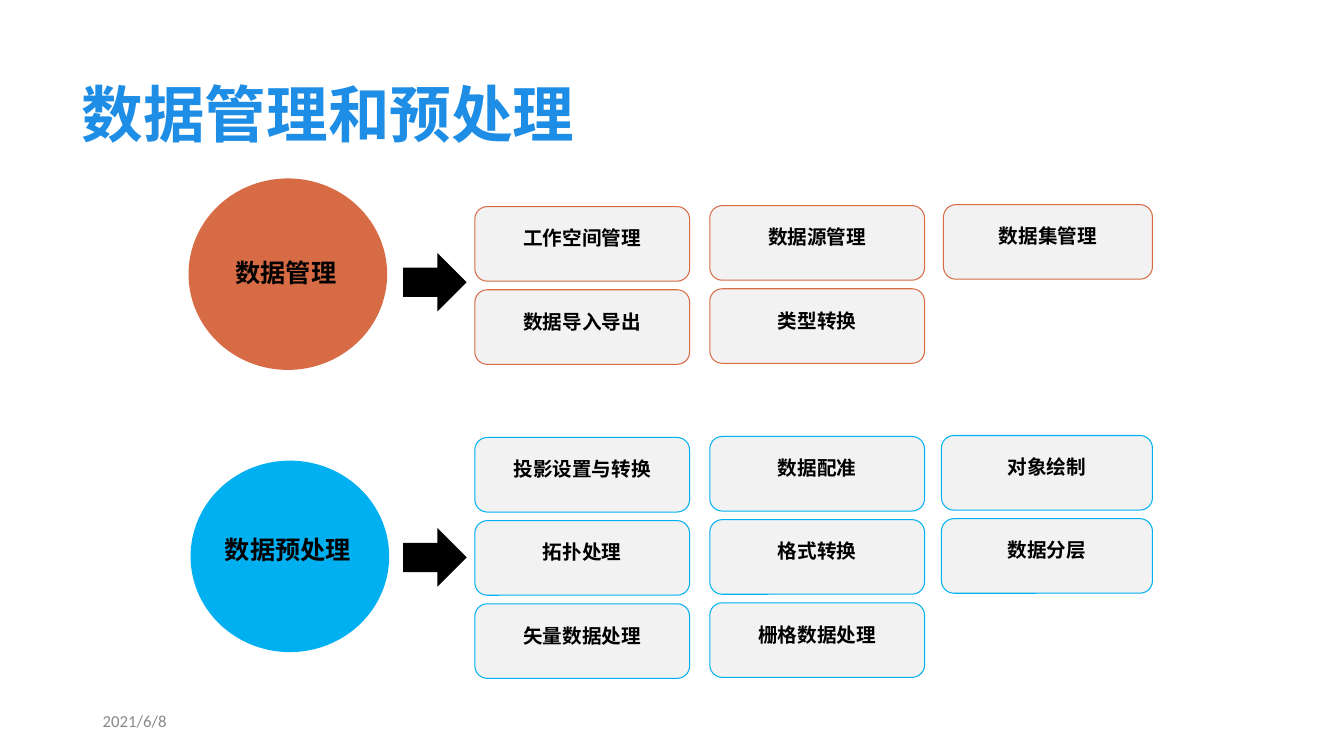
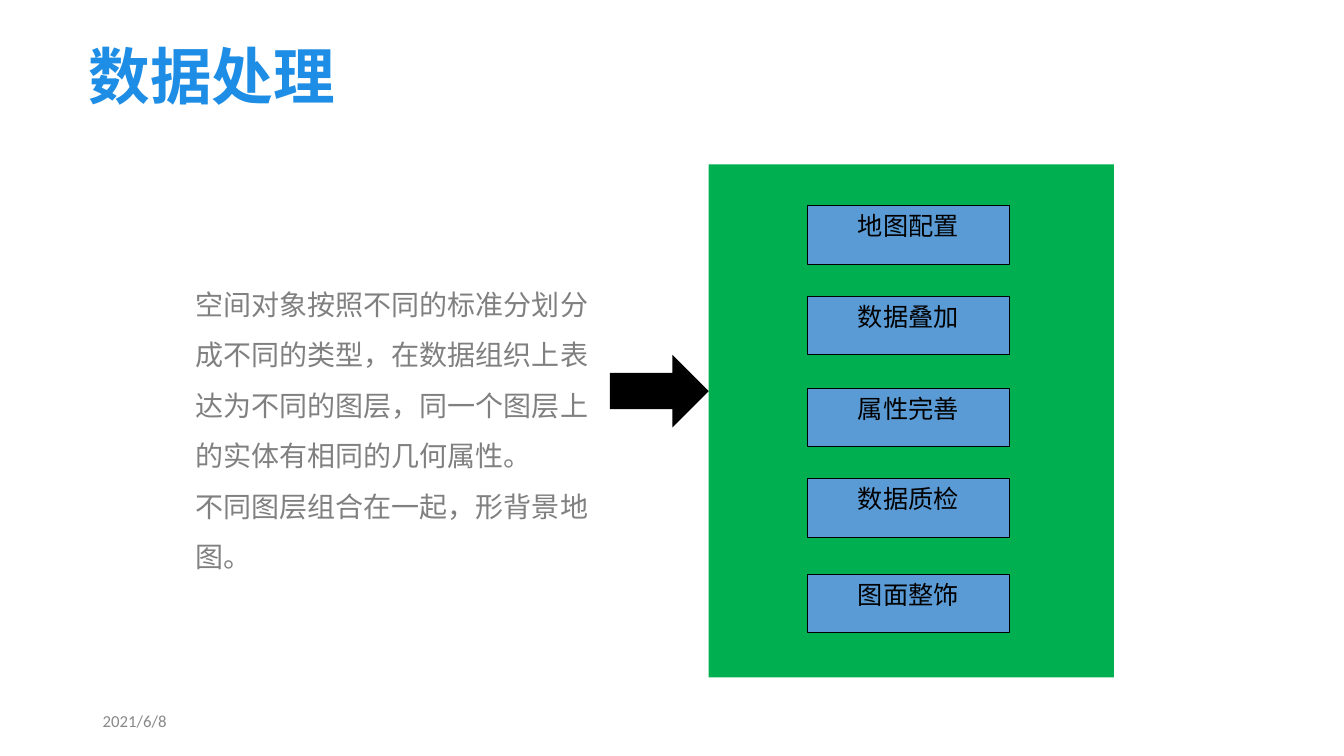
from lxml import etree
from pptx import Presentation
from pptx import util as u
from pptx.dml.color import RGBColor
from pptx.enum import shapes, text
from pptx.oxml.ns import qn

BLUE_TITLE = RGBColor(0x1D, 0x8D, 0xE5)
ORANGE = RGBColor(0xD7, 0x6B, 0x45)
SKY = RGBColor(0x00, 0xB0, 0xF0)
GREEN = RGBColor(0x00, 0xB0, 0x50)
STEEL = RGBColor(0x5B, 0x9B, 0xD5)
PALE = RGBColor(0xF2, 0xF2, 0xF2)
GREY = RGBColor(0x80, 0x80, 0x80)
DATE_GREY = RGBColor(0x89, 0x89, 0x89)
BLACK = RGBColor(0, 0, 0)
CJK = "Noto Sans CJK SC"
KIND = shapes.MSO_SHAPE
LEFT, CENTER = text.PP_ALIGN.LEFT, text.PP_ALIGN.CENTER
TOP, MIDDLE = text.MSO_ANCHOR.TOP, text.MSO_ANCHOR.MIDDLE

deck = Presentation()
deck.slide_width, deck.slide_height = u.Inches(13.33), u.Inches(7.5)


def write(box, lines, size, color, name="Arial", bold=False, align=CENTER,
          anchor=TOP, spacing=None):
    frame = box.text_frame
    frame.word_wrap = True
    frame.auto_size = text.MSO_AUTO_SIZE.NONE
    frame.vertical_anchor = anchor
    frame.text = "\n".join(lines)
    for para in frame.paragraphs:
        para.alignment = align
        para.line_spacing = spacing
        para.font.size, para.font.bold = u.Pt(size), bold
        para.font.color.rgb = color
        para.font.name = name
        props = para._p.pPr.find(qn("a:defRPr"))
        etree.SubElement(props, qn("a:ea")).set("typeface", CJK)


def place(page, kind, left, top, width, height, fill=None, line=None):
    """Add a shape, or a text box if kind is None; lengths in percent of the slide."""
    area = [round(share * side / 100) for share, side in zip(
        (left, top, width, height), (deck.slide_width, deck.slide_height) * 2)]
    if kind is None:
        return page.shapes.add_textbox(*area)
    box = page.shapes.add_shape(kind, *area)
    box.shadow.inherit = False
    box.fill.solid()
    box.fill.fore_color.rgb = fill
    if line is None:
        box.line.fill.background()
    else:
        box.line.color.rgb = line
        box.line.width = u.Pt(0.75)
    return box


# Titles and dates
pages = []
for heading, left, top in (("数据管理和预处理", 5.33, 9.33), ("数据处理", 5.85, 4.4)):
    page = deck.slides.add_slide(deck.slide_layouts[5])
    title = page.shapes.title
    title.left, title.top = int(deck.slide_width * left / 100), int(deck.slide_height * top / 100)
    title.width, title.height = int(deck.slide_width * 0.75), int(deck.slide_height * 0.11)
    write(title, [heading], 44, BLUE_TITLE, CJK, bold=True, align=LEFT)
    date = place(page, None, 6.9, 92.67, 22.5, 5.33)
    write(date, ["2021/6/8"], 12, DATE_GREY, "Calibri", align=LEFT, anchor=MIDDLE)
    pages.append(page)
overview, processing = pages

# Management and preprocessing: a circle, an arrow and a grid of tasks each
GRID_LEFT, GRID_RIGHT = 35.33, 85.75
COLUMN, ROW, COLUMN_RISE = 17.48, 11, 0.13
CELL_WIDTH, CELL_HEIGHT = 15.98, 9.87
groups = (
    ("数据管理", ORANGE, (14.03, 23.6), 0.5, 33.47, 27.33, 70.2, (
        ("工作空间管理", "数据源管理", "数据集管理"),
        ("数据导入导出", "类型转换"))),
    ("数据预处理", SKY, (14.18, 60.93), 0.45, 69.87, 57.87, 70.05, (
        ("投影设置与转换", "数据配准", "对象绘制"),
        ("拓扑处理", "格式转换", "数据分层"),
        ("矢量数据处理", "栅格数据处理"))),
)
for label, color, corner, inset, arrow_top, grid_top, last_left, rows in groups:
    circle = place(overview, KIND.OVAL, *corner, 14.78, 25.33, color)
    write(circle, [label], 18, BLACK, bold=True)
    circle.text_frame.margin_top = u.Inches(inset)
    circle.text_frame.margin_left = 0
    circle.text_frame.margin_right = u.Inches(0.04)
    place(overview, KIND.RIGHT_ARROW, 30, arrow_top, 4.73, 7.73, BLACK)
    for row, tasks in enumerate(rows):
        for column, task in enumerate(tasks):
            is_last = column == 2
            left = last_left if is_last else GRID_LEFT + column * COLUMN
            width = GRID_RIGHT - left if is_last else CELL_WIDTH
            top = grid_top + row * ROW - column * COLUMN_RISE
            cell = place(overview, KIND.ROUNDED_RECTANGLE, left, top, width,
                         CELL_HEIGHT, PALE, color)
            write(cell, [task], 14, BLACK, bold=True)
            cell.text_frame.margin_top = u.Inches(0.16)

# Processing: explanation, arrow and panel of steps
place(processing, KIND.RECTANGLE, 52.73, 21.73, 30.15, 67.87, GREEN)
body = place(processing, None, 13.8, 32.8, 31.65, 46)
write(body, ["空间对象按照不同的标准分划分成不同的类型，在数据组织上表达为不同的图层，同一个图层上的实体有相同的几何属性。",
             "不同图层组合在一起，形背景地图。"],
      20, GREY, CJK, align=LEFT, anchor=MIDDLE, spacing=1.5)
steps = (("地图配置", 27.2), ("数据叠加", 39.2), ("属性完善", 51.33),
         ("数据质检", 63.33), ("图面整饰", 76))
for step, top in steps:
    box = place(processing, KIND.RECTANGLE, 60.08, top, 15, 7.73, STEEL, BLACK)
    write(box, [step], 18, BLACK)
place(processing, KIND.RIGHT_ARROW, 45.38, 46.93, 7.35, 9.6, BLACK)

deck.save("out.pptx")
